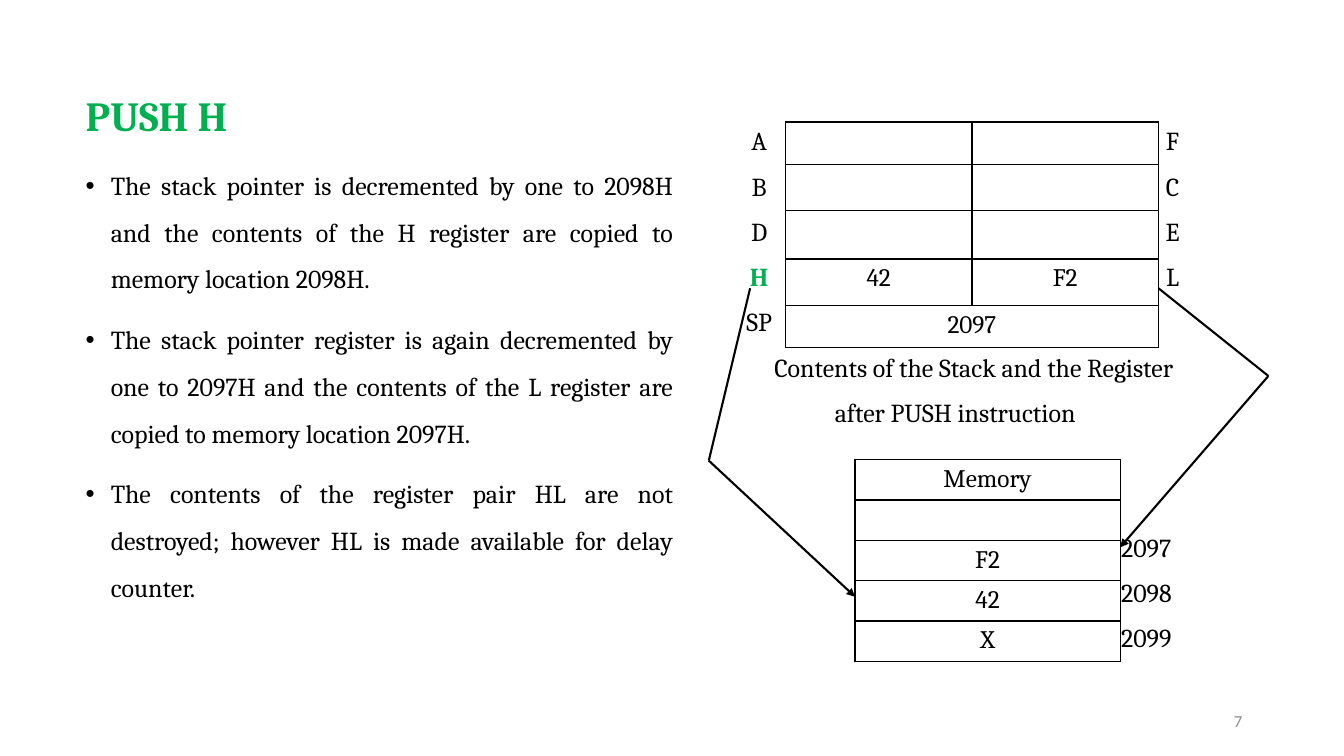
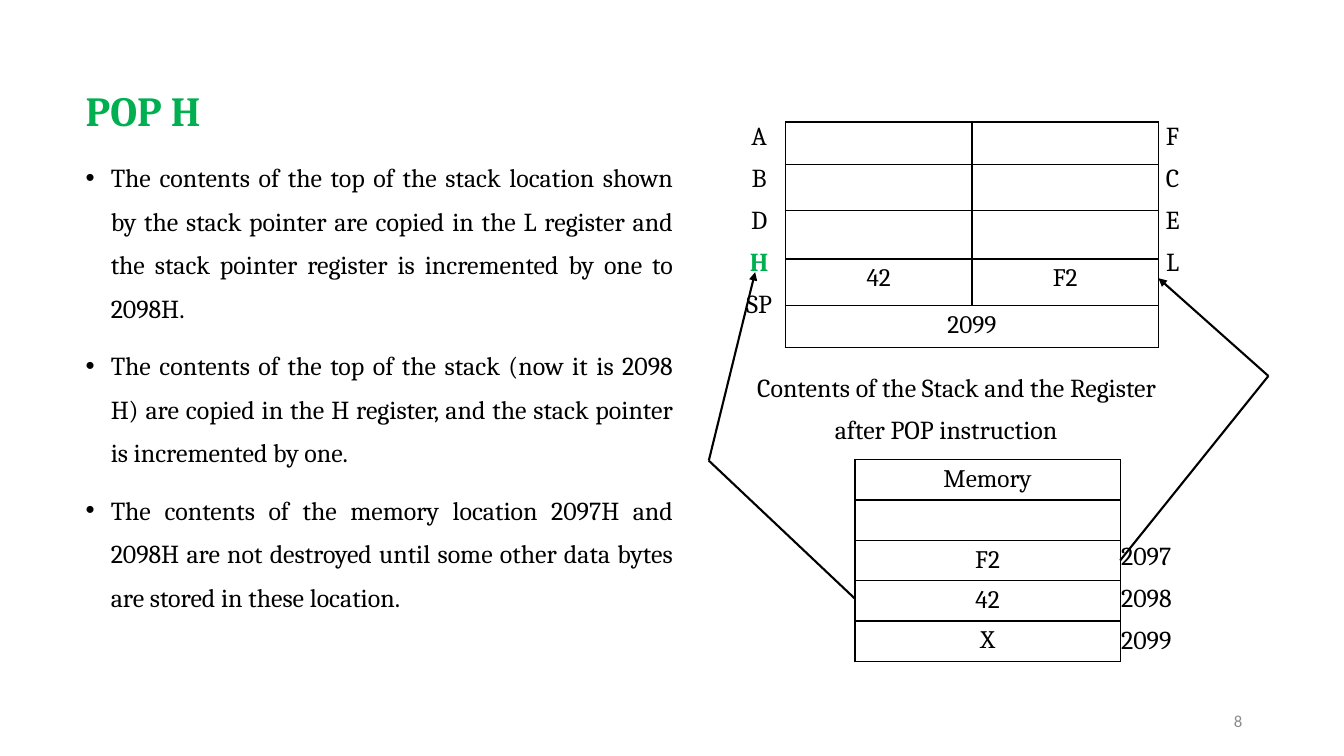
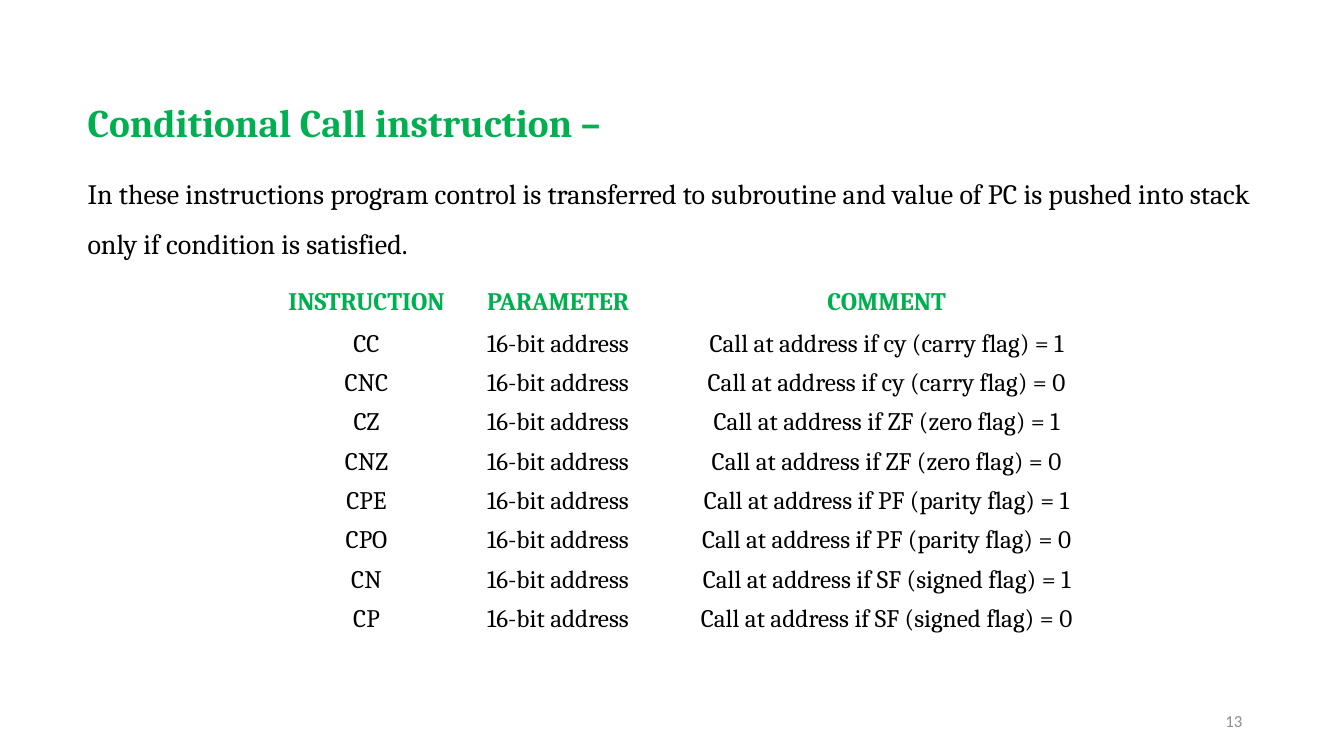
"""Build three slides on processor stack and conditional call instructions."""
from itertools import pairwise

from pptx import Presentation
from pptx.dml.color import RGBColor
from pptx.enum.shapes import MSO_CONNECTOR
from pptx.enum.text import MSO_ANCHOR, PP_ALIGN
from pptx.oxml import parse_xml
from pptx.oxml.ns import nsdecls
from pptx.util import Inches, Pt

LEFT, CENTER, RIGHT, JUSTIFY = PP_ALIGN.LEFT, PP_ALIGN.CENTER, PP_ALIGN.RIGHT, PP_ALIGN.JUSTIFY
TOP, MIDDLE = MSO_ANCHOR.TOP, MSO_ANCHOR.MIDDLE
STRAIGHT = MSO_CONNECTOR.STRAIGHT
GREEN, BLACK, GRAY, WHITE = "00B050", "000000", "8C8C8C", "FFFFFF"
TITLE_LEFT, BODY_WIDTH = 0.75, 6.02

STACK_SLIDES = [
    {
        "title": "PUSH H", "number": "7", "spacing": 1.5, "body_top": 1.53,
        "bullets": [
            "The stack pointer is decremented by one to 2098H and the contents of the H register are copied to memory location 2098H.",
            "The stack pointer register is again decremented by one to 2097H and the contents of the L register are copied to memory location 2097H.",
            "The contents of the register pair HL are not destroyed; however HL is made available for delay counter.",
        ],
        "pointer": "2097", "label_gap": 10, "label_top": 1.24, "address_top": 5.27,
        "caption": ["Contents of the Stack and the Register", "after PUSH instruction"],
        "caption_at": (7.68, 3.49), "caption_indent": 0.6,
        "arrows": [
            [(7.44, 2.86), (7.03, 4.57), (8.48, 5.92)],
            [(11.49, 2.86), (12.58, 3.73), (11.11, 5.43)],
        ],
    },
    {
        "title": "POP H", "number": "8", "spacing": 1.4, "body_top": 1.48,
        "bullets": [
            "The contents of the top of the stack location shown by the stack pointer are copied in the L register and the stack pointer register is incremented by one to 2098H.",
            "The contents of the top of the stack (now it is 2098 H) are copied in the H register, and the stack pointer is incremented by one.",
            "The contents of the memory location 2097H and 2098H are not destroyed until some other data bytes are stored in these location.",
        ],
        "pointer": "2099", "label_gap": 7.8, "label_top": 1.19, "address_top": 5.35,
        "caption": ["Contents of the Stack and the Register", "after POP instruction"],
        "caption_at": (7.51, 3.69), "caption_indent": 0.77,
        "arrows": [
            [(8.48, 5.94), (7.03, 4.57), (7.49, 2.7)],
            [(11.11, 5.56), (12.58, 3.73), (11.49, 2.76)],
        ],
    },
]
LEFT_REGISTERS = ["A", "B", "D", "H", "SP"]
RIGHT_REGISTERS = ["F", "C", "E", "L"]
ADDRESSES = ["2097", "2098", "2099"]
MEMORY = [["Memory"], [""], ["F2"], ["42"], ["X"]]

CALL_TITLE = "Conditional Call instruction –"
CALL_TEXT = "In these instructions program control is transferred to subroutine and value of PC is pushed into stack only if condition is satisfied."
CALL_HEADER = ["INSTRUCTION", "PARAMETER", "COMMENT"]
CALLS = [
    ("CC", "cy (carry flag) = 1"), ("CNC", "cy (carry flag) = 0"),
    ("CZ", "ZF (zero flag) = 1"), ("CNZ", "ZF (zero flag) = 0"),
    ("CPE", "PF (parity flag) = 1"), ("CPO", "PF (parity flag) = 0"),
    ("CN", "SF (signed flag) = 1"), ("CP", "SF (signed flag) = 0"),
]


def color(value):
    """Turn a hex string into a colour."""
    return RGBColor.from_string(value)


def set_attributes(target, values):
    """Set each named attribute on the target."""
    for name, value in values.items():
        setattr(target, name, value)


def write(paragraph, text, size, hue=BLACK, bold=False, font="Cambria", **layout):
    """Write one formatted run into a paragraph."""
    set_attributes(paragraph, layout)
    run = paragraph.add_run()
    run.text = text
    set_attributes(run.font, {"name": font, "size": Pt(size), "bold": bold})
    run.font.color.rgb = color(hue)


def add_text(slide, left, top, width, height, side_margin=0, anchor=TOP):
    """Add an empty wrapping text box and return its text frame."""
    box = slide.shapes.add_textbox(Inches(left), Inches(top), Inches(width), Inches(height))
    frame = box.text_frame
    set_attributes(frame, {
        "word_wrap": True, "vertical_anchor": anchor, "margin_top": 0, "margin_bottom": 0,
        "margin_left": Inches(side_margin), "margin_right": Inches(side_margin),
    })
    return frame


def write_lines(frame, lines, size, gap=10, **layout):
    """Write one paragraph per line with equal gaps between them."""
    for index, line in enumerate(lines):
        paragraph = frame.add_paragraph() if index else frame.paragraphs[0]
        marked = line == "H"
        write(paragraph, line, size, GREEN if marked else BLACK, marked,
              space_before=Pt(gap if index else 0), **layout)
    return frame.paragraphs


def add_slide(presentation, title, number, left, top, size, spacing):
    """Add a slide with its green title and its number."""
    slide = presentation.slides.add_slide(presentation.slide_layouts[5])
    shape = slide.shapes.title
    set_attributes(shape, {"left": Inches(left), "top": Inches(top),
                           "width": Inches(BODY_WIDTH), "height": Inches(0.8)})
    shape.text_frame.vertical_anchor = TOP
    write(shape.text_frame.paragraphs[0], title, size, GREEN, True,
          alignment=LEFT, line_spacing=spacing, space_before=Pt(0))
    footer = add_text(slide, 9.42, 6.95, 3, 0.4, 0.1, MIDDLE)
    write(footer.paragraphs[0], number, 12, GRAY, font="Calibri", alignment=RIGHT)
    return slide


def add_borders(cell):
    """Draw a thin black border on all sides of a cell."""
    properties = cell._tc.get_or_add_tcPr()
    for index, side in enumerate(("lnL", "lnR", "lnT", "lnB")):
        properties.insert(index, parse_xml(
            f'<a:{side} {nsdecls("a")} w="12700"><a:solidFill><a:srgbClr val="{BLACK}"/>'
            f'</a:solidFill></a:{side}>'))


def add_table(slide, left, top, widths, heights, rows, borders=True, header=False):
    """Add a white table with centred text and return it."""
    table = slide.shapes.add_table(
        len(rows), len(widths), Inches(left), Inches(top),
        Inches(sum(widths)), Inches(sum(heights))).table
    set_attributes(table, {"first_row": header, "horz_banding": False})
    for column, width in zip(table.columns, widths):
        column.width = Inches(width)
    for row_index, (row, height) in enumerate(zip(rows, heights)):
        table.rows[row_index].height = Inches(height)
        heading = header and row_index == 0
        for column_index, text in enumerate(row):
            cell = table.cell(row_index, column_index)
            cell.fill.solid()
            cell.fill.fore_color.rgb = color(WHITE)
            if borders:
                add_borders(cell)
            else:
                set_attributes(cell, {"vertical_anchor": MIDDLE, "margin_top": Inches(0.04),
                                      "margin_bottom": Inches(0.04)})
            if text:
                write(cell.text_frame.paragraphs[0], text, 18,
                      GREEN if heading else BLACK, heading, alignment=CENTER)
    return table


def add_arrow(slide, points):
    """Join the points with lines and put an arrowhead on the last."""
    for start, end in pairwise(points):
        line = slide.shapes.add_connector(STRAIGHT, *map(Inches, start + end))
        line.line.color.rgb = color(BLACK)
        line.line.width = Pt(1.5)
        if end == points[-1]:
            line.line._get_or_add_ln().append(
                parse_xml(f'<a:tailEnd {nsdecls("a")} type="triangle"/>'))
        line._element.spPr.append(parse_xml(f'<a:effectLst {nsdecls("a")}/>'))


def add_stack_slide(presentation, content):
    """Add a slide with bullets, a register table and a memory table."""
    spacing, gap = content["spacing"], content["label_gap"]
    slide = add_slide(presentation, content["title"], content["number"],
                      TITLE_LEFT, 0.6, 29.6, spacing)
    body = add_text(slide, TITLE_LEFT, content["body_top"], BODY_WIDTH, 4.8, 0.1)
    for paragraph in write_lines(body, content["bullets"], 18.5,
                                 alignment=JUSTIFY, line_spacing=spacing):
        properties = paragraph._p.get_or_add_pPr()
        properties.set("marL", str(Inches(0.25)))
        properties.set("indent", str(-Inches(0.25)))
        properties.append(parse_xml(f'<a:buFont {nsdecls("a")} typeface="Arial"/>'))
        properties.append(parse_xml(f'<a:buChar {nsdecls("a")} char="•"/>'))

    registers = [["", ""]] * 3 + [["42", "F2"], [content["pointer"], ""]]
    table = add_table(slide, 7.79, 1.21, [1.85] * 2, [0.42, 0.46, 0.48, 0.46, 0.42], registers)
    table.cell(4, 0).merge(table.cell(4, 1))
    add_table(slide, 8.48, 4.56, [2.63], [0.4] * 5, MEMORY)

    label_top = content["label_top"]
    for left, top, width, lines, alignment in (
            (7.28, label_top, 0.5, LEFT_REGISTERS, CENTER),
            (11.38, label_top, 0.5, RIGHT_REGISTERS, CENTER),
            (11.12, content["address_top"], 0.7, ADDRESSES, LEFT)):
        frame = add_text(slide, left, top, width, 0.45 * len(lines))
        write_lines(frame, lines, 18.5, gap, alignment=alignment)

    caption = add_text(slide, *content["caption_at"], 4.3, 0.8)
    paragraphs = write_lines(caption, content["caption"], 18.5, gap, alignment=LEFT)
    paragraphs[1]._p.get_or_add_pPr().set("marL", str(Inches(content["caption_indent"])))
    for points in content["arrows"]:
        add_arrow(slide, points)


def add_call_slide(presentation):
    """Add the slide that lists the conditional calls."""
    slide = add_slide(presentation, CALL_TITLE, "13", 0.77, 0.69, 28, 1.5)
    body = add_text(slide, 0.77, 1.58, 11.86, 1.1, 0.1)
    write_lines(body, [CALL_TEXT], 20, alignment=LEFT, line_spacing=1.5)
    rows = [CALL_HEADER] + [
        [name, "16-bit address", f"Call at address if {condition}"] for name, condition in CALLS]
    add_table(slide, 2.7, 2.77, [1.87, 1.93, 4.59], [0.45] + [0.39] * len(CALLS), rows,
              borders=False, header=True)


def main():
    """Build and save the presentation."""
    presentation = Presentation()
    set_attributes(presentation, {"slide_width": Inches(13.33), "slide_height": Inches(7.5)})
    for content in STACK_SLIDES:
        add_stack_slide(presentation, content)
    add_call_slide(presentation)
    presentation.save("out.pptx")


if __name__ == "__main__":
    main()
